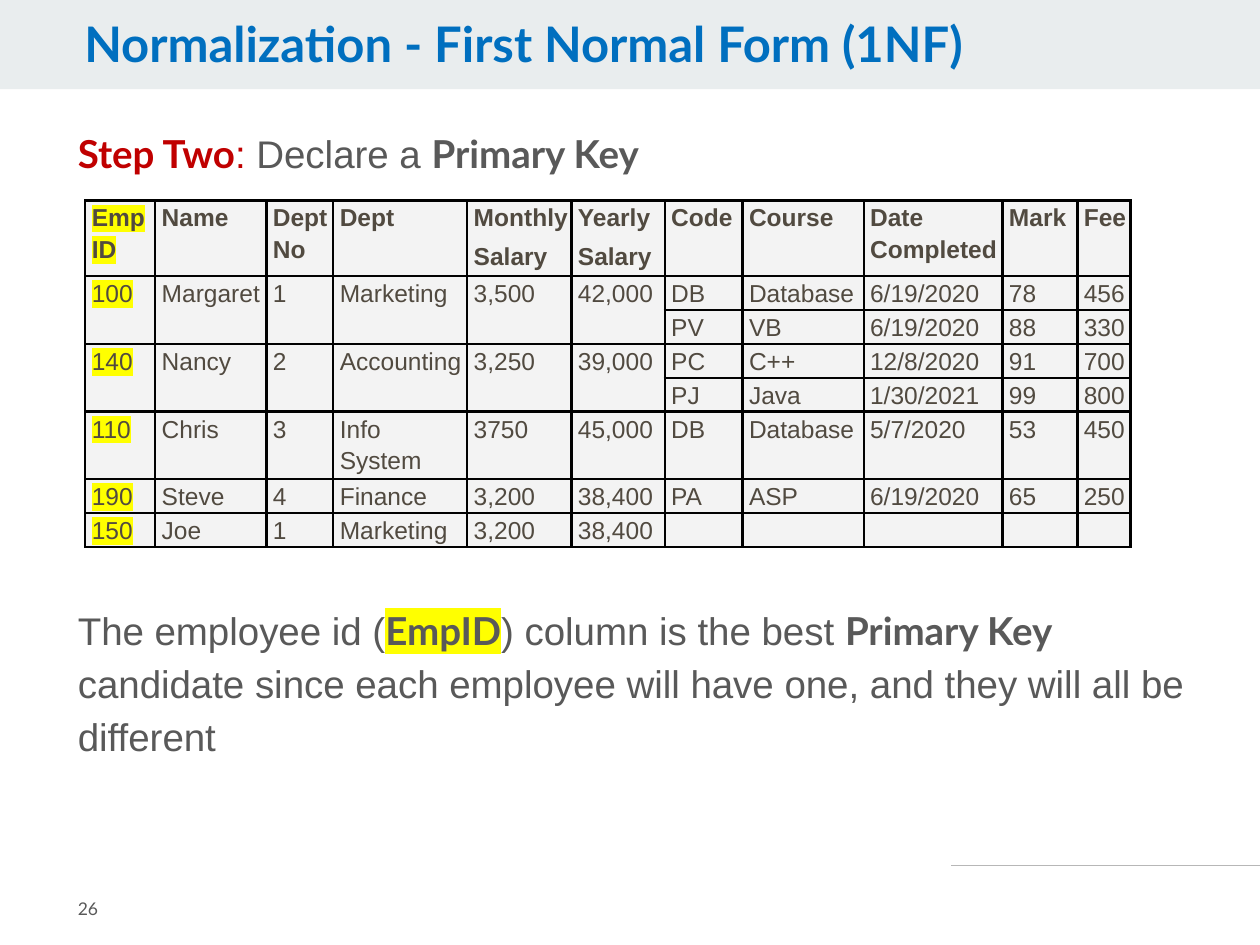
import pptx
import pptx.dml.color
import pptx.enum.shapes
import pptx.enum.text
import pptx.oxml
import pptx.oxml.ns
import pptx.util
from pptx.util import Cm

BLUE, RED, GREY, BROWN = "006FBF", "C00000", "595959", "514A40"
YELLOW, CELL_GREY, BAND_GREY, RULE_GREY = "FFFF00", "F3F3F3", "E9EDEE", "B7B7B7"

COLUMN_WIDTHS = [1.41, 2.24, 1.35, 2.7, 2.1, 1.88, 1.57, 2.44, 2.8, 1.51, 1.07]
ROW_HEIGHTS = [1.53, 0.64, 0.64, 0.64, 0.64, 1.27, 0.64, 0.64]
EMPLOYEE_COLUMNS = 6
TWO_COURSE_ROWS = [1, 3]
NO_EMPLOYEE = [""] * EMPLOYEE_COLUMNS
ROWS = [
    ["Emp ID", "Name", "Dept No", "Dept", "Monthly\nSalary", "Yearly\nSalary",
     "Code", "Course", "Date Completed", "Mark", "Fee"],
    ["100", "Margaret", "1", "Marketing", "3,500", "42,000",
     "DB", "Database", "6/19/2020", "78", "456"],
    NO_EMPLOYEE + ["PV", "VB", "6/19/2020", "88", "330"],
    ["140", "Nancy", "2", "Accounting", "3,250", "39,000",
     "PC", "C++", "12/8/2020", "91", "700"],
    NO_EMPLOYEE + ["PJ", "Java", "1/30/2021", "99", "800"],
    ["110", "Chris", "3", "Info System", "3750", "45,000",
     "DB", "Database", "5/7/2020", "53", "450"],
    ["190", "Steve", "4", "Finance", "3,200", "38,400",
     "PA", "ASP", "6/19/2020", "65", "250"],
    ["150", "Joe", "1", "Marketing", "3,200", "38,400"] + [""] * 5,
]


def color(hex_string):
    return pptx.dml.color.RGBColor.from_string(hex_string)


def add_child(parent, xml):
    namespace = pptx.oxml.ns.nsdecls("a")
    parent.append(pptx.oxml.parse_xml(xml.replace("/>", f" {namespace}/>", 1)
                                      if xml.count("<") == 1
                                      else xml.replace(">", f" {namespace}>", 1)))


def highlight(run):
    add_child(run.font._element,
              f'<a:highlight><a:srgbClr val="{YELLOW}"/></a:highlight>')


def set_font(font, name, size, hex_string, bold=False):
    font.name, font.size, font.bold = name, pptx.util.Pt(size), bold
    font.color.rgb = color(hex_string)


def add_text(slide, left, top, width, height, middle=False):
    """Add a wrapping text box and return its first paragraph."""
    frame = slide.shapes.add_textbox(Cm(left), Cm(top), Cm(width), Cm(height)).text_frame
    frame.word_wrap = True
    if middle:
        frame.vertical_anchor = pptx.enum.text.MSO_ANCHOR.MIDDLE
    return frame.paragraphs[0]


def add_body(slide, top, height, pieces):
    """Add body text from (text, bold, colour, highlighted) pieces."""
    paragraph = add_text(slide, 1.32, top, 23.14, height)
    paragraph.line_spacing = 1.15
    for text, bold, hex_string, marked in pieces:
        run = paragraph.add_run()
        run.text = text
        if marked:
            highlight(run)
        set_font(run.font, "Lato" if bold else "Arial", 22, hex_string, bold)


def add_band_and_rule(slide):
    band = slide.shapes.add_shape(pptx.enum.shapes.MSO_SHAPE.RECTANGLE,
                                  0, 0, Cm(25.4), Cm(1.8))
    band.shadow.inherit = False
    band.fill.solid()
    band.fill.fore_color.rgb = color(BAND_GREY)
    band.line.fill.background()
    rule = slide.shapes.add_connector(pptx.enum.shapes.MSO_CONNECTOR.STRAIGHT,
                                      Cm(19.18), Cm(17.45), Cm(25.4), Cm(17.45))
    rule.line.color.rgb = color(RULE_GREY)
    rule.line.width = pptx.util.Pt(0.75)
    add_child(rule._element.spPr, "<a:effectLst/>")


def style_cell(cell):
    cell.margin_left = Cm(0.13)
    cell.margin_right = cell.margin_top = cell.margin_bottom = 0
    properties = cell._tc.get_or_add_tcPr()
    for side in "LRTB":
        add_child(properties, f'<a:ln{side} w="19050"><a:solidFill>'
                  f'<a:srgbClr val="000000"/></a:solidFill></a:ln{side}>')
    cell.fill.solid()
    cell.fill.fore_color.rgb = color(CELL_GREY)


def fill_cell(cell, text, bold, marked):
    cell.text_frame.text = text
    for index, paragraph in enumerate(cell.text_frame.paragraphs):
        paragraph.line_spacing = 1.15
        if index:
            paragraph.space_before = pptx.util.Pt(4)
        set_font(paragraph.font, "Arial", 14, BROWN, bold)
        if not text:
            add_child(paragraph._p, '<a:endParaRPr sz="1400"/>')
        elif marked:
            highlight(paragraph.runs[0])


def add_employee_table(slide):
    table = slide.shapes.add_table(len(ROWS), len(COLUMN_WIDTHS), Cm(1.72), Cm(4.04),
                                   Cm(sum(COLUMN_WIDTHS)), Cm(sum(ROW_HEIGHTS))).table
    for column, width in zip(table.columns, COLUMN_WIDTHS):
        column.width = Cm(width)
    for row, height in zip(table.rows, ROW_HEIGHTS):
        row.height = Cm(height)
    for row_index, row in enumerate(ROWS):
        for column_index, text in enumerate(row):
            cell = table.cell(row_index, column_index)
            style_cell(cell)
            fill_cell(cell, text, row_index == 0, column_index == 0)
    # Employees with two courses span two rows
    for row_index in TWO_COURSE_ROWS:
        for column_index in range(EMPLOYEE_COLUMNS):
            table.cell(row_index, column_index).merge(
                table.cell(row_index + 1, column_index))


def main():
    presentation = pptx.Presentation()
    presentation.slide_width, presentation.slide_height = Cm(25.4), Cm(19.05)
    slide = presentation.slides.add_slide(presentation.slide_layouts[6])
    add_band_and_rule(slide)

    # Title
    title = add_text(slide, 1.45, 0.23, 20.02, 1.4, middle=True)
    title.text = "Normalization - First Normal Form (1NF)"
    title.line_spacing = 0.9
    set_font(title.font, "Lato", 28, BLUE, True)

    # Step, table and conclusion
    add_body(slide, 2.36, 1.4, [
        ("Step Two", True, RED, False),
        (": ", False, RED, False),
        ("Declare a ", False, GREY, False),
        ("Primary Key", True, GREY, False),
    ])
    add_employee_table(slide)
    add_body(slide, 11.98, 3.6, [
        ("The employee id (", False, GREY, False),
        ("EmpID", True, GREY, True),
        (") column is the best ", False, GREY, False),
        ("Primary Key", True, GREY, False),
        (" candidate since each employee will have one, and they will all be different",
         False, GREY, False),
    ])

    # Page number
    number = add_text(slide, 1.32, 17.6, 3.12, 1.45, middle=True)
    number.text = "26"
    set_font(number.font, "Lato", 10, GREY)

    presentation.save("out.pptx")


if __name__ == "__main__":
    main()
